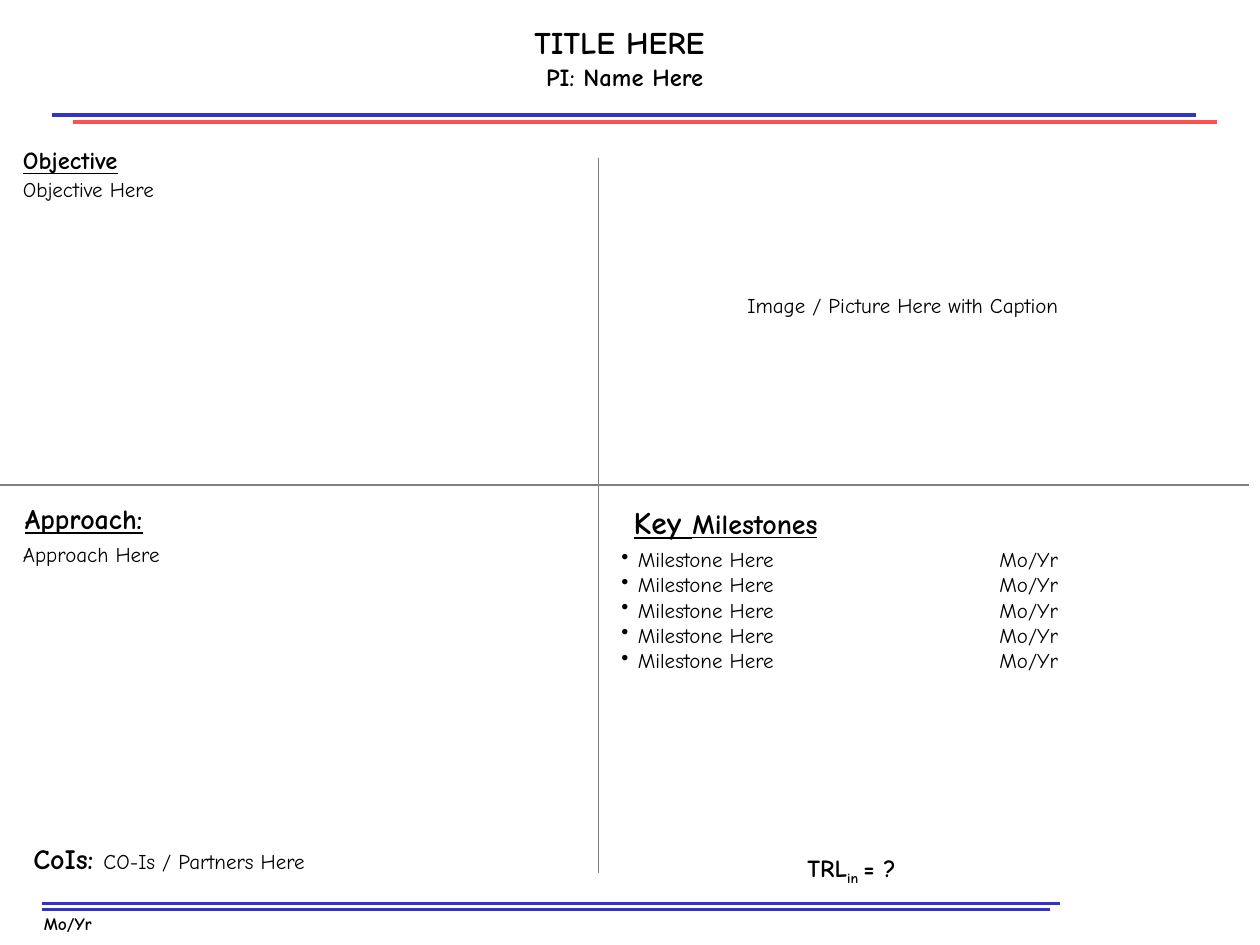
from dataclasses import dataclass

from lxml.etree import SubElement
from pptx import Presentation
from pptx.dml.color import RGBColor
from pptx.enum.shapes import MSO_CONNECTOR
from pptx.enum.text import MSO_ANCHOR, MSO_AUTO_SIZE as AUTO, PP_ALIGN as ALIGN
from pptx.oxml.ns import qn
from pptx.util import Pt


@dataclass(frozen=True)
class Theme:
    font: str = "Comic Neue"
    ink: RGBColor = RGBColor(0, 0, 0)
    blue: RGBColor = RGBColor(0x33, 0x33, 0xCC)
    red: RGBColor = RGBColor(0xFF, 0x50, 0x50)
    grey: RGBColor = RGBColor(0x80, 0x80, 0x80)
    title: int = 18
    heading: int = 16
    subheading: int = 14
    body: int = 12
    small: int = 10


@dataclass(frozen=True)
class Box:
    left: float
    top: float
    width: float
    height: float

    def inner(self, left, top, width, height):
        return Box(self.left + left, self.top + top, width, height)


THEME = Theme()
INDENT = 9.4


def add_line(slide, x1, y1, x2, y2, color, weight):
    line = slide.shapes.add_connector(
        MSO_CONNECTOR.STRAIGHT, Pt(x1), Pt(y1), Pt(x2), Pt(y2))
    line.line.color.rgb = color
    line.line.width = Pt(weight)
    SubElement(line._element.spPr, qn("a:effectLst"))


def add_text(slide, box, wrap=True, auto_size=AUTO.SHAPE_TO_FIT_TEXT):
    shape = slide.shapes.add_textbox(
        Pt(box.left), Pt(box.top), Pt(box.width), Pt(box.height))
    frame = shape.text_frame
    frame.word_wrap = wrap
    frame.auto_size = auto_size
    return frame


def add_run(paragraph, text, size, bold=False, underline=False):
    run = paragraph.add_run()
    run.text = text
    font = run.font
    font.name, font.size = THEME.font, Pt(size)
    font.bold, font.underline = bold, underline
    font.color.rgb = THEME.ink
    return run


def hang(paragraph):
    props = paragraph._p.get_or_add_pPr()
    props.set("marL", str(Pt(INDENT)))
    props.set("indent", str(-Pt(INDENT)))
    return props


def add_bullet_and_tabs(paragraph):
    props = hang(paragraph)
    color = SubElement(props, qn("a:buClr"))
    SubElement(color, qn("a:srgbClr"), val=str(THEME.ink))
    SubElement(props, qn("a:buChar"), char="•")
    tabs = SubElement(props, qn("a:tabLst"))
    for stop in range(1, 9):
        SubElement(tabs, qn("a:tab"), pos=str(Pt(72 * stop)), algn="l")


def build_header(slide, box):
    # Title and investigator
    title = slide.shapes.title
    title.left, title.top = Pt(box.left + 90), Pt(box.top + 8.6)
    title.width, title.height = Pt(528), Pt(30.2)
    frame = title.text_frame
    frame.auto_size = AUTO.NONE
    frame.vertical_anchor = MSO_ANCHOR.MIDDLE
    heading = frame.paragraphs[0]
    heading.alignment = ALIGN.CENTER
    add_run(heading, "TITLE HERE", THEME.title, bold=True)

    investigator = add_text(slide, box.inner(174, 31.7, 366, 24.5)).paragraphs[0]
    investigator.alignment = ALIGN.CENTER
    add_run(investigator, "PI: Name Here", THEME.subheading, bold=True)

    # Offset double rule
    for x, y, color in ((30, 65.7, THEME.blue), (42, 69.9, THEME.red)):
        left, top = box.left + x, box.top + y
        add_line(slide, left, top, left + 653.4, top, color, 2.25)


def build_dividers(slide, box, middle_x, middle_y):
    add_line(slide, middle_x, box.top, middle_x, box.top + box.height,
             THEME.grey, 0.75)
    add_line(slide, box.left, middle_y, box.left + box.width, middle_y,
             THEME.grey, 0.75)


def build_objective(slide, box):
    frame = add_text(slide, box.inner(6, 0, 336, 193), auto_size=AUTO.NONE)
    heading, body = frame.paragraphs[0], frame.add_paragraph()
    for paragraph in (heading, body):
        hang(paragraph)
        paragraph.line_spacing = 0.8
    body.space_before = Pt(3.7)
    add_run(heading, "Objective", THEME.subheading, bold=True, underline=True)
    add_run(body, "Objective Here", THEME.body)


def build_image_area(slide, box):
    caption = add_text(slide, box.inner(78, 80.6, 213, 21.8)).paragraphs[0]
    add_run(caption, "Image / Picture Here with Caption", THEME.body)


def build_approach(slide, box):
    heading = add_text(slide, box.inner(7.2, 5.8, 81.4, 26.6), wrap=False)
    add_run(heading.paragraphs[0], "Approach:", THEME.heading,
            bold=True, underline=True)

    body = add_text(slide, box.inner(6, 30.2, 330, 20.2)).paragraphs[0]
    body.line_spacing = 0.9
    add_run(body, "Approach Here", THEME.body)

    partners = add_text(slide, box.inner(12, 200.2, 330, 26.6)).paragraphs[0]
    hang(partners)
    add_run(partners, "CoIs: ", THEME.heading, bold=True)
    add_run(partners, "CO-Is / Partners Here", THEME.body)


def build_milestones(slide, box):
    heading = add_text(slide, box.inner(13, 6.5, 119.5, 28.8), wrap=False)
    for text, size in (("Key ", THEME.title), ("Milestones", THEME.heading)):
        add_run(heading.paragraphs[0], text, size, bold=True, underline=True)

    frame = add_text(slide, box.inner(6, 31.7, 354, 93.6))
    for index in range(5):
        milestone = frame.add_paragraph() if index else frame.paragraphs[0]
        add_bullet_and_tabs(milestone)
        add_run(milestone, "Milestone Here\t\tMo/Yr", THEME.body)

    # Technology readiness level
    readiness = add_text(slide, box.inner(112.3, 206.6, 84.2, 26.6)).paragraphs[0]
    add_run(readiness, "TRL", THEME.subheading, bold=True)
    subscript = add_run(readiness, "in ", THEME.subheading, bold=True)
    subscript.font._element.set("baseline", "-25000")
    add_run(readiness, "= ?", THEME.subheading, bold=True)


def build_footer(slide, box):
    for y, length in ((6.2, 582), (9.8, 576)):
        left, top = box.left + 24, box.top + y
        add_line(slide, left, top, left + length, top, THEME.blue, 2)
    date = add_text(slide, box.inner(18, 8.4, 52.6, 19.4)).paragraphs[0]
    add_run(date, "Mo/Yr", THEME.small, bold=True)


def main():
    deck = Presentation()
    deck.slide_width, deck.slide_height = Pt(720), Pt(540)
    slide = deck.slides.add_slide(deck.slide_layouts[5])

    middle_x, middle_y, quad_top, footer_top = 342, 277.2, 82.8, 510
    right = 720 - middle_x
    upper, lower = middle_y - quad_top, footer_top - middle_y

    build_dividers(slide, Box(-6, 90, 720, 409), middle_x, middle_y)
    build_header(slide, Box(0, 0, 720, quad_top))
    build_objective(slide, Box(0, quad_top, middle_x, upper))
    build_image_area(slide, Box(middle_x, quad_top, right, upper))
    build_approach(slide, Box(0, middle_y, middle_x, lower))
    build_milestones(slide, Box(middle_x, middle_y, right, lower))
    build_footer(slide, Box(0, footer_top, 720, 30))
    deck.save("out.pptx")


if __name__ == "__main__":
    main()
